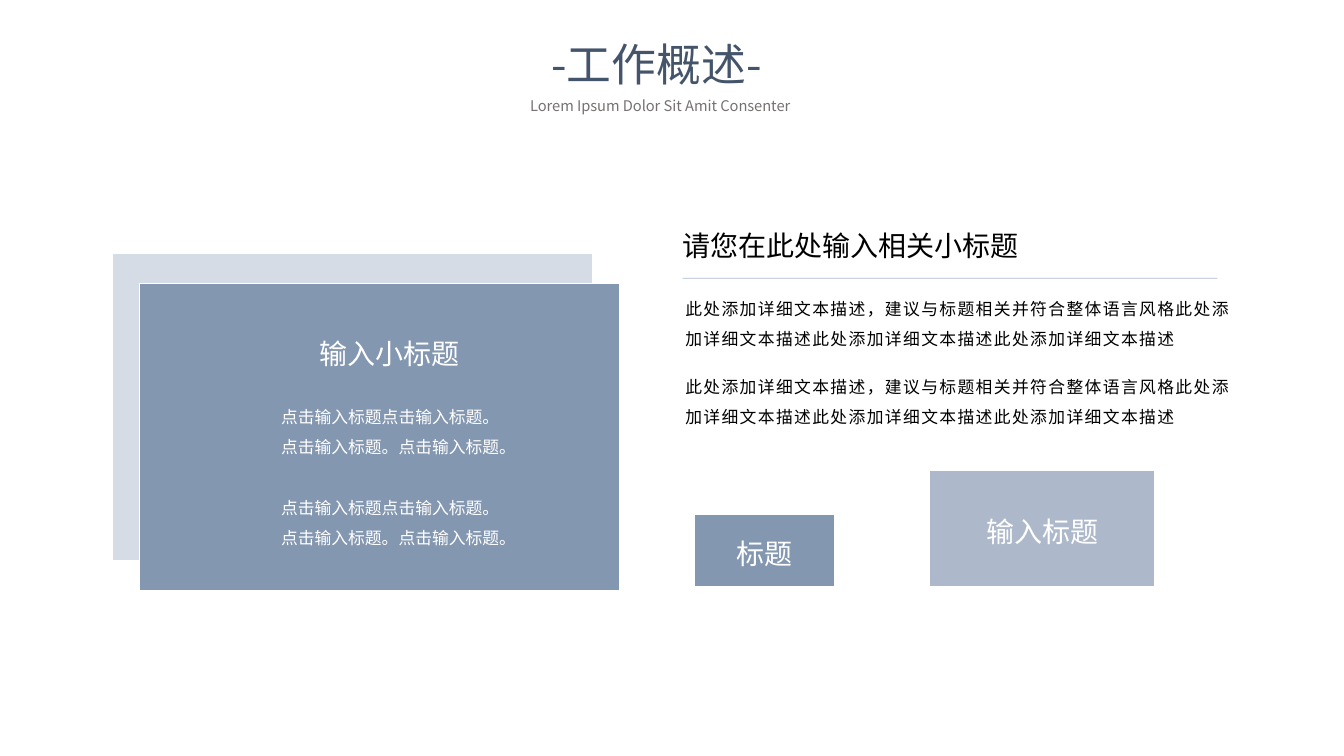
"""Build the work summary slide with a layered panel, text and two tags."""
from dataclasses import dataclass

from lxml.etree import SubElement
from pptx import Presentation
from pptx.dml.color import RGBColor
from pptx.enum.shapes import MSO_CONNECTOR, MSO_SHAPE
from pptx.enum.text import MSO_ANCHOR, MSO_AUTO_SIZE, PP_ALIGN
from pptx.oxml.ns import qn
from pptx.util import Cm, Pt


@dataclass(frozen=True)
class Theme:
    """Hold the font, colours and type sizes."""
    font: str = "Noto Sans CJK SC"
    navy: str = "44546A"
    grey: str = "767171"
    black: str = "000000"
    white: str = "FFFFFF"
    steel: str = "8497B0"
    mist: str = "ADB9CA"
    pale: str = "D6DCE5"
    title: float = 32
    head: float = 20
    body: float = 12
    small: float = 10.5


THEME = Theme()
DETAIL = ("此处添加详细文本描述，建议与标题相关并符合整体语言风格"
          "此处添加详细文本描述此处添加详细文本描述此处添加详细文本描述")
POINT = "点击输入标题点击输入标题。点击输入标题。点击输入标题。"


def tint(code):
    """Turn a hex code into a colour."""
    return RGBColor.from_string(code)


def style(frame, size, color, align=PP_ALIGN.LEFT, lines=1.0, track=0, gap=0):
    """Format all the text in a frame."""
    frame.word_wrap = True
    for index, para in enumerate(frame.paragraphs):
        para.alignment = align
        para.line_spacing = lines
        if index:
            para.space_before = Pt(gap)
        for run in para.runs:
            run.font.size = Pt(size)
            run.font.name = THEME.font
            run.font.color.rgb = tint(color)
            props = run._r.get_or_add_rPr()
            SubElement(props, qn("a:ea")).set("typeface", THEME.font)
            if track:
                props.set("spc", str(track * 100))


def add_title(slide, text, left, top, width, height):
    """Place and format the slide title."""
    title = slide.shapes.title
    title.left, title.top = Cm(left), Cm(top)
    title.width, title.height = Cm(width), Cm(height)
    frame = title.text_frame
    frame.text = text
    frame.auto_size = MSO_AUTO_SIZE.NONE
    frame.vertical_anchor = MSO_ANCHOR.TOP
    style(frame, THEME.title, THEME.navy)


def add_text(slide, text, left, top, width, height, size, color, inset=True, **look):
    """Add a text box."""
    box = slide.shapes.add_textbox(Cm(left), Cm(top), Cm(width), Cm(height))
    frame = box.text_frame
    frame.text = text
    if not inset:
        frame.margin_left = frame.margin_right = 0
        frame.margin_top = frame.margin_bottom = 0
    style(frame, size, color, **look)


def add_block(slide, left, top, width, height, fill, text=""):
    """Add a filled block with a white edge and an optional label."""
    block = slide.shapes.add_shape(
        MSO_SHAPE.RECTANGLE, Cm(left), Cm(top), Cm(width), Cm(height))
    block.shadow.inherit = False
    block.fill.solid()
    block.fill.fore_color.rgb = tint(fill)
    block.line.color.rgb = tint(THEME.white)
    block.line.width = Pt(1)
    if text:
        frame = block.text_frame
        frame.text = text
        frame.vertical_anchor = MSO_ANCHOR.MIDDLE
        style(frame, THEME.head, THEME.white, PP_ALIGN.CENTER, 1.2)


def add_rule(slide, left, right, top):
    """Add a thin, partly clear rule."""
    rule = slide.shapes.add_connector(
        MSO_CONNECTOR.STRAIGHT, Cm(left), Cm(top), Cm(right), Cm(top))
    rule.line.color.rgb = tint(THEME.steel)
    rule.line.width = Pt(0.5)
    props = rule._element.spPr
    shade = props.find(".//" + qn("a:srgbClr"))
    SubElement(shade, qn("a:alpha")).set("val", "65000")
    SubElement(props, qn("a:effectLst"))


def main():
    """Build and save the slide."""
    deck = Presentation()
    deck.slide_width, deck.slide_height = Cm(33.87), Cm(19.05)
    slide = deck.slides.add_slide(deck.slide_layouts[5])

    add_title(slide, "-工作概述-", 13.64, 0.81, 6.58, 1.55)
    add_text(slide, "Lorem Ipsum Dolor Sit Amit Consenter",
             13.11, 2.31, 7.65, 0.71, THEME.small, THEME.grey)

    add_text(slide, "请您在此处输入相关小标题", 17.2, 5.77, 10.62, 0.86,
             THEME.head, THEME.black, inset=False)
    add_rule(slide, 17.2, 30.68, 7.01)
    for top in (7.14, 9.12):
        add_text(slide, DETAIL, 17.02, top, 14.25, 1.73,
                 THEME.body, THEME.black, lines=1.5, track=1)

    for left, top, fill in ((2.82, 6.38, THEME.pale), (3.51, 7.14, THEME.steel)):
        add_block(slide, left, top, 12.12, 7.75, fill)
    add_text(slide, "输入小标题", 7.49, 8.36, 4.67, 1.12,
             THEME.head, THEME.white, align=PP_ALIGN.CENTER)
    add_text(slide, "\n".join([POINT] * 2), 6.71, 9.86, 6.25, 4.01,
             THEME.body, THEME.white, align=PP_ALIGN.CENTER, lines=1.5, gap=22)

    add_block(slide, 17.5, 12.95, 3.53, 1.83, THEME.steel, "标题")
    add_block(slide, 23.42, 11.84, 5.69, 2.95, THEME.mist, "输入标题")
    deck.save("out.pptx")


if __name__ == "__main__":
    main()
